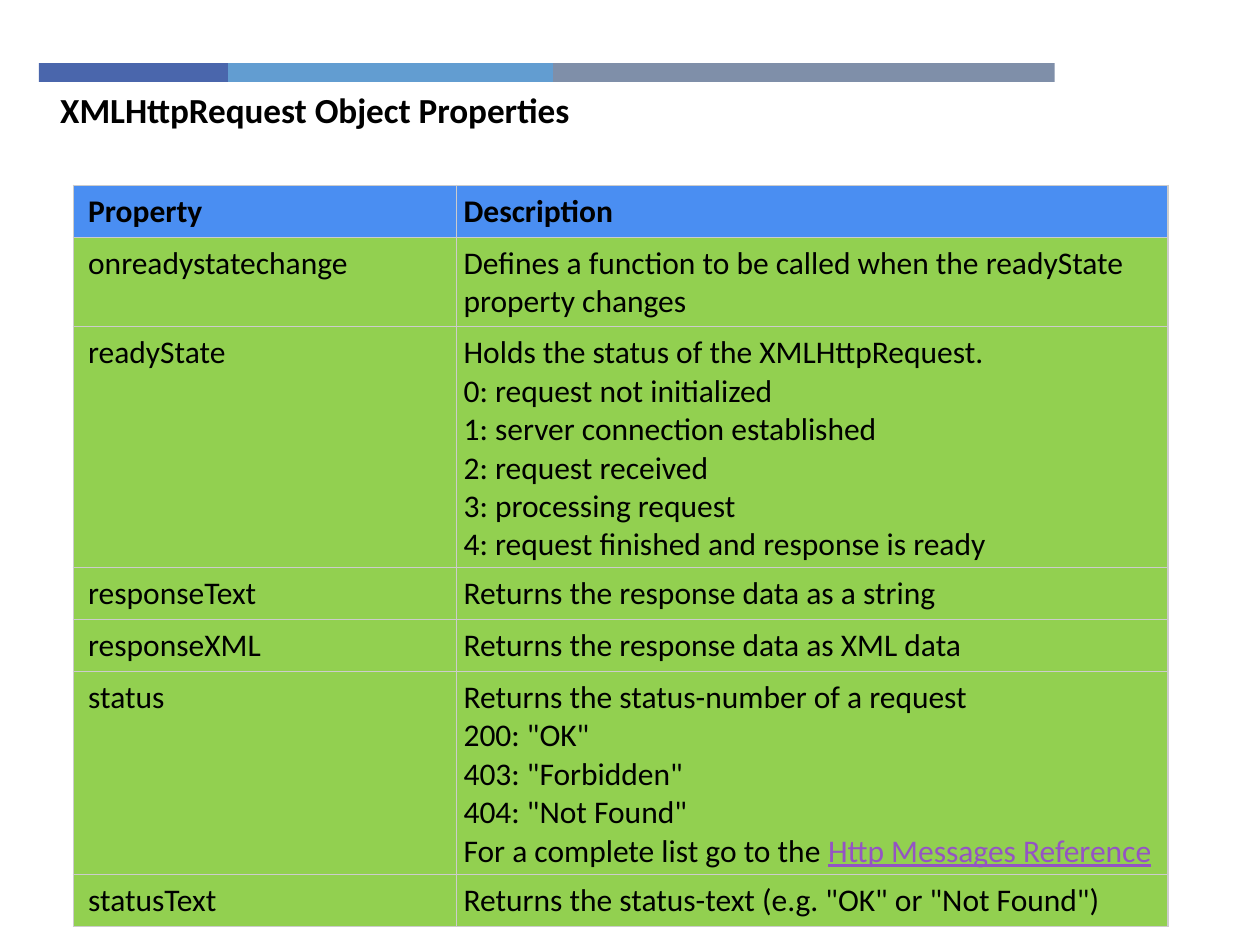
"""Builds a slide listing the XMLHttpRequest object properties."""
from itertools import accumulate, product

from lxml import etree
from pptx import Presentation
from pptx.dml.color import RGBColor
from pptx.enum.shapes import MSO_SHAPE
from pptx.oxml.ns import qn
from pptx.util import Inches, Pt

RECTANGLE = MSO_SHAPE.RECTANGLE
THEME = {
    "font": "Calibri", "ink": "000000", "link": "9454C3", "border": "CCCCCC",
    "header": "4A8EF2", "body": "92D050", "bands": ["4A66AC", "629DD1", "7F8FA9"],
    "title_size": 20.1, "table_size": 18, "border_width": 0.75,
}
TITLE = "XMLHttpRequest Object Properties"
REFERENCE = "Http Messages Reference"
PROPERTIES = [
    ("Property", ["Description"]),
    ("onreadystatechange",
     ["Defines a function to be called when the readyState property changes"]),
    ("readyState", [
        "Holds the status of the XMLHttpRequest.", "0: request not initialized",
        "1: server connection established", "2: request received",
        "3: processing request", "4: request finished and response is ready"]),
    ("responseText", ["Returns the response data as a string"]),
    ("responseXML", ["Returns the response data as XML data"]),
    ("status", [
        "Returns the status-number of a request", '200: "OK"', '403: "Forbidden"',
        '404: "Not Found"', "For a complete list go to the\u00a0"]),
    ("statusText", ['Returns the status-text (e.g. "OK" or "Not Found")']),
]
BAND_LEFT, BAND_TOP, BAND_HEIGHT = 0.31, 0.5, 0.15
BAND_WIDTHS = [1.5, 2.58, 3.98]
COLUMN_WIDTHS = [3.04, 5.65]
ROW_HEIGHTS = [0.41, 0.68, 1.74, 0.41, 0.41, 1.48, 0.41]


def write(paragraph, text, size=THEME["table_size"], bold=False,
          color=THEME["ink"], underline=False):
    run = paragraph.add_run()
    run.text = text
    run.font.name, run.font.size = THEME["font"], Pt(size)
    run.font.bold, run.font.underline = bold, underline
    run.font.color.rgb = RGBColor.from_string(color)


def add_borders(cell):
    properties = cell._tc.get_or_add_tcPr()
    for position, side in enumerate(("a:lnL", "a:lnR", "a:lnT", "a:lnB")):
        line = etree.Element(qn(side), w=str(Pt(THEME["border_width"])))
        fill = etree.SubElement(line, qn("a:solidFill"))
        etree.SubElement(fill, qn("a:srgbClr"), val=THEME["border"])
        properties.insert(position, line)


presentation = Presentation()
presentation.slide_width, presentation.slide_height = Inches(10), Inches(7.5)
slide = presentation.slides.add_slide(presentation.slide_layouts[6])

band_lefts = accumulate(BAND_WIDTHS, initial=BAND_LEFT)
for left, width, color in zip(band_lefts, BAND_WIDTHS, THEME["bands"]):
    band = slide.shapes.add_shape(RECTANGLE, Inches(left), Inches(BAND_TOP),
                                  Inches(width), Inches(BAND_HEIGHT))
    band.shadow.inherit = False
    band.fill.solid()
    band.fill.fore_color.rgb = RGBColor.from_string(color)
    band.line.fill.background()

heading = slide.shapes.add_textbox(Inches(0.38), Inches(BAND_TOP + BAND_HEIGHT),
                                   Inches(4.6), Inches(0.54)).text_frame
heading.word_wrap = True
heading.paragraphs[0].space_before = Pt(20)
write(heading.paragraphs[0], TITLE, size=THEME["title_size"], bold=True)

table = slide.shapes.add_table(
    len(PROPERTIES), len(COLUMN_WIDTHS), Inches(0.58), Inches(1.47),
    Inches(sum(COLUMN_WIDTHS)), Inches(sum(ROW_HEIGHTS))).table
table.horz_banding = False
for column, width in zip(table.columns, COLUMN_WIDTHS):
    column.width = Inches(width)
for row, height in zip(table.rows, ROW_HEIGHTS):
    row.height = Inches(height)

for row, column in product(range(len(PROPERTIES)), range(len(COLUMN_WIDTHS))):
    name, description = PROPERTIES[row]
    cell = table.cell(row, column)
    cell.margin_left = Inches(0.06 if column else 0.12)
    cell.margin_right = cell.margin_top = cell.margin_bottom = Pt(4)
    cell.fill.solid()
    cell.fill.fore_color.rgb = RGBColor.from_string(THEME["body" if row else "header"])
    add_borders(cell)
    paragraph = cell.text_frame.paragraphs[0]
    for number, line in enumerate(description if column else [name]):
        if number:
            paragraph.add_line_break()
        write(paragraph, line, bold=row == 0)
    if column and name == "status":
        write(paragraph, REFERENCE, color=THEME["link"], underline=True)

presentation.save("out.pptx")
